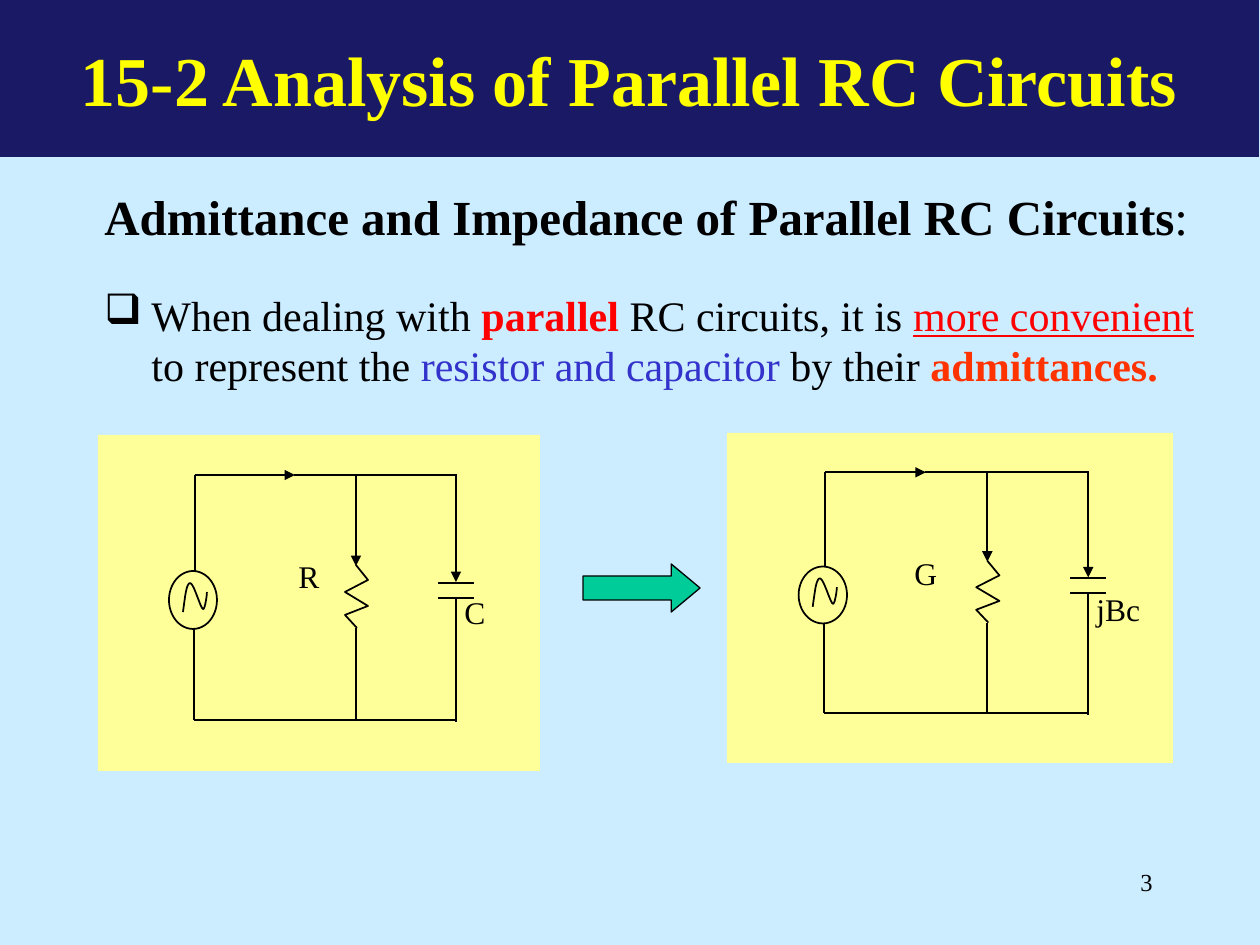
"""Build the slide on admittance and impedance of parallel RC circuits."""
from lxml import etree
from pptx import Presentation
from pptx.dml.color import RGBColor
from pptx.enum.shapes import MSO_CONNECTOR, MSO_SHAPE
from pptx.enum.text import MSO_ANCHOR, PP_ALIGN
from pptx.oxml.ns import qn
from pptx.util import Emu, Pt

RECT, OVAL, ARROW = MSO_SHAPE.RECTANGLE, MSO_SHAPE.OVAL, MSO_SHAPE.RIGHT_ARROW
STRAIGHT = MSO_CONNECTOR.STRAIGHT
TOP, MIDDLE = MSO_ANCHOR.TOP, MSO_ANCHOR.MIDDLE
LEFT, CENTER, RIGHT = PP_ALIGN.LEFT, PP_ALIGN.CENTER, PP_ALIGN.RIGHT

FONT = "Times New Roman"
BLACK, RED, BLUE, ORANGE = "000000", "FF0000", "3333CC", "FF3300"
YELLOW, NAVY, SKY, CREAM, GREEN = "FFFF00", "191966", "CCECFF", "FFFF99", "00CC99"
PANEL_W, PANEL_H = 442, 336

WIRES = [
    (97, 136, 97, 40, False),
    (96, 193, 96, 285, False),
    (97, 40, 197, 40, True),
    (196, 40, 358, 40, False),
    (258, 40, 258, 131, True),
    (258, 193, 258, 285, False),
    (358, 39, 358, 147, True),
    (340, 148, 376, 148, False),
    (340, 163, 376, 163, False),
    (358, 164, 358, 287, False),
    (96, 285, 359, 285, False),
]
RESISTOR = [(258, 130), (270, 145), (247, 157), (270, 171), (247, 180), (259, 193)]
WAVE = [(85, 177), (87, 164), (88, 149), (92, 148), (96, 148),
        (102, 172), (105, 174), (107, 175), (109, 160), (109, 157)]


def px(n):
    """Turn slide pixels into EMU."""
    return Emu(round(n * 914400 / 126))


def rgb(value):
    """Turn a hex string into a colour."""
    return RGBColor.from_string(value)


def set_line(line, width):
    """Draw a black outline, or none when the width is zero."""
    if width:
        line.color.rgb = rgb(BLACK)
        line.width = Pt(width)
    else:
        line.fill.background()


def add_shape(shapes, kind, box, fill=None, width=0):
    """Add a flat preset shape."""
    sp = shapes.add_shape(kind, *map(px, box))
    sp.shadow.inherit = False
    if fill:
        sp.fill.solid()
        sp.fill.fore_color.rgb = rgb(fill)
    else:
        sp.fill.background()
    set_line(sp.line, width)
    return sp


def add_wire(shapes, start, end, arrow):
    """Add a straight wire, with a current arrow at its end if asked."""
    cx = shapes.add_connector(STRAIGHT, *map(px, (*start, *end)))
    set_line(cx.line, 1)
    if arrow:
        etree.SubElement(cx.line._get_or_add_ln(), qn("a:tailEnd"), type="triangle")
    etree.SubElement(cx._element.spPr, qn("a:effectLst"))


def add_path(shapes, points):
    """Add an open outline through the points."""
    points = [tuple(map(px, point)) for point in points]
    builder = shapes.build_freeform(*points[0], scale=1.0)
    builder.add_line_segments(points[1:], close=False)
    sp = builder.convert_to_shape()
    sp.shadow.inherit = False
    sp.fill.background()
    set_line(sp.line, 1)


def curve(points, steps=10):
    """Sample a chain of cubic Bezier curves."""
    result = [points[0]]
    for i in range(0, len(points) - 1, 3):
        for k in range(1, steps + 1):
            t = k / steps
            weights = ((1 - t) ** 3, 3 * t * (1 - t) ** 2, 3 * t * t * (1 - t), t ** 3)
            result.append(tuple(
                sum(w * p[axis] for w, p in zip(weights, points[i:i + 4]))
                for axis in (0, 1)))
    return result


def write(sp, runs, size, align=LEFT, anchor=TOP):
    """Write runs of text, colour, bold and underline into one paragraph."""
    tf = sp.text_frame
    tf.word_wrap = True
    tf.vertical_anchor = anchor
    p = tf.paragraphs[0]
    p.alignment = align
    for text, color, bold, underline in runs:
        r = p.add_run()
        r.text = text
        r.font.name = FONT
        r.font.size = Pt(size)
        r.font.bold = bold
        r.font.underline = underline
        r.font.color.rgb = rgb(color)
    return p


def add_text(shapes, box, runs, size, align=LEFT, anchor=TOP):
    """Add a text box and return its paragraph."""
    return write(shapes.add_textbox(*map(px, box)), runs, size, align, anchor)


def add_bullet(p, char, indent):
    """Give a paragraph a hanging bullet."""
    pPr = p._p.get_or_add_pPr()
    pPr.set("marL", str(px(indent)))
    pPr.set("indent", str(-px(indent)))
    etree.SubElement(pPr, qn("a:buChar"), char=char)


def add_circuit(slide, panel, labels):
    """Add a grouped parallel RC circuit scaled to its panel."""
    left, top, width, height = panel
    sx, sy = width / PANEL_W, height / PANEL_H

    def place(x, y):
        """Map a circuit point onto the slide."""
        return left + x * sx, top + y * sy

    shapes = slide.shapes.add_group_shape().shapes
    add_shape(shapes, RECT, panel, CREAM)
    add_shape(shapes, OVAL, (*place(71, 136), 48 * sx, 58 * sy), width=1)
    add_path(shapes, [place(*point) for point in curve(WAVE)])
    for x1, y1, x2, y2, arrow in WIRES:
        add_wire(shapes, place(x1, y1), place(x2, y2), arrow)
    add_path(shapes, [place(*point) for point in RESISTOR])
    for text, box in labels:
        add_text(shapes, box, [(text, BLACK, False, False)], 18)


def main():
    """Build and save the slide."""
    prs = Presentation()
    prs.slide_width, prs.slide_height = px(1260), px(945)
    slide = prs.slides.add_slide(prs.slide_layouts[6])
    slide.background.fill.solid()
    slide.background.fill.fore_color.rgb = rgb(SKY)
    shapes = slide.shapes

    add_text(shapes, (92, 180, 1134, 72), [
        ("Admittance and Impedance of Parallel RC Circuits", BLACK, True, False),
        (":", BLACK, False, False),
    ], 28, anchor=MIDDLE)
    p = add_text(shapes, (92, 283, 1118, 114), [
        ("When dealing with ", BLACK, False, False),
        ("parallel", RED, True, False),
        (" RC circuits, it is ", BLACK, False, False),
        ("more convenient ", RED, False, True),
        ("to represent the ", BLACK, False, False),
        ("resistor and capacitor", BLUE, False, False),
        (" by their ", BLACK, False, False),
        ("admittances.", ORANGE, True, False),
    ], 24)
    add_bullet(p, "❑", 47)

    add_circuit(slide, (98, 435, PANEL_W, PANEL_H),
                [("C", (452, 587, 89, 50)), ("R", (286, 551, 48, 50))])
    arrow = add_shape(shapes, ARROW, (583, 564, 117, 48), GREEN, 0.75)
    arrow.adjustments[0], arrow.adjustments[1] = 0.5, 0.6
    add_circuit(slide, (727, 433, 446, 330),
                [("jBc", (1084, 584, 91, 50)), ("G", (902, 548, 64, 50))])

    banner = add_shape(shapes, RECT, (-1, 0, 1260, 157), NAVY)
    write(banner, [("15-2 Analysis of Parallel RC Circuits", YELLOW, True, False)],
          40, CENTER, MIDDLE)
    add_text(shapes, (903, 861, 262, 63), [("3", BLACK, False, False)], 14, RIGHT)
    prs.save("out.pptx")


if __name__ == "__main__":
    main()
